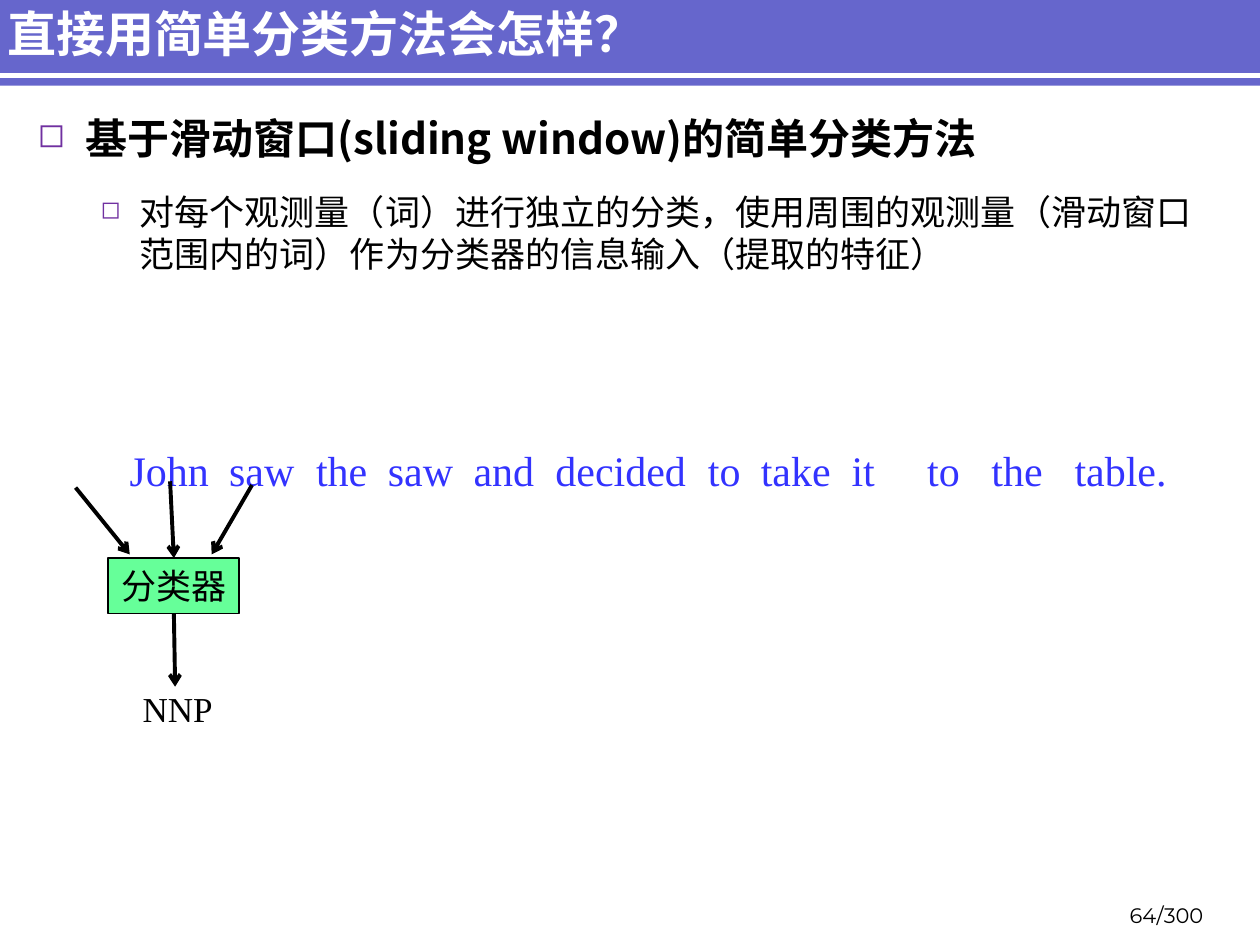
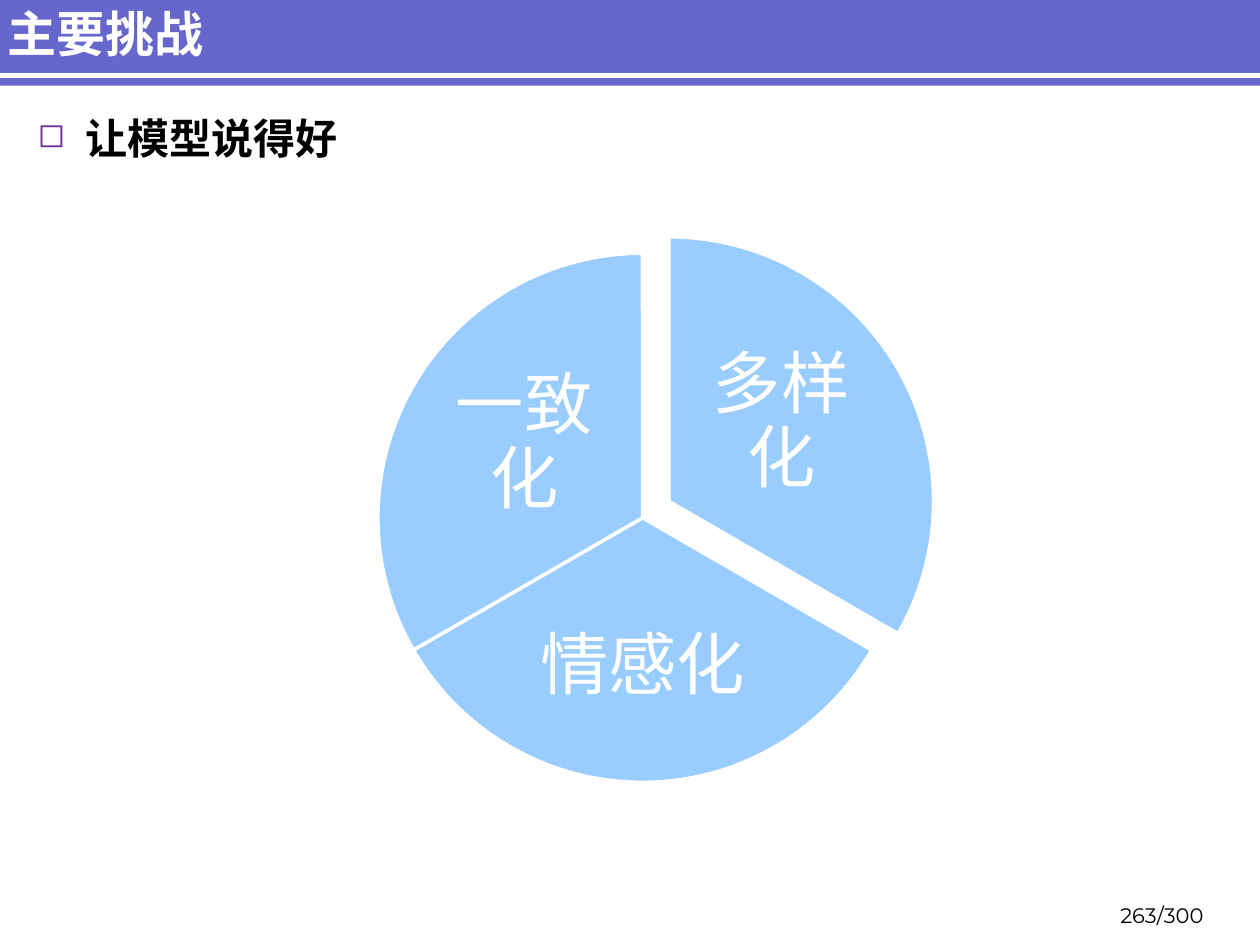
from dataclasses import dataclass

from lxml import etree
from pptx import Presentation
from pptx.dml.color import RGBColor
from pptx.enum.shapes import MSO_CONNECTOR, MSO_SHAPE
from pptx.enum.text import MSO_ANCHOR, PP_ALIGN
from pptx.oxml.ns import qn
from pptx.util import Inches, Pt

LEFT, CENTER, RIGHT = PP_ALIGN.LEFT, PP_ALIGN.CENTER, PP_ALIGN.RIGHT
TOP, MIDDLE, BOTTOM = MSO_ANCHOR.TOP, MSO_ANCHOR.MIDDLE, MSO_ANCHOR.BOTTOM
RECTANGLE, PIE = MSO_SHAPE.RECTANGLE, MSO_SHAPE.PIE
STRAIGHT = MSO_CONNECTOR.STRAIGHT
SIDE_TOP, SIDE_BOTTOM = 0, 2


@dataclass(frozen=True)
class Theme:
    band: str = "6666CC"
    white: str = "FFFFFF"
    black: str = "000000"
    bullet: str = "7030A0"
    sentence: str = "3333FF"
    classifier: str = "66FF99"
    wedge: str = "99CCFF"
    cjk_font: str = "Noto Sans CJK SC"
    serif_font: str = "Times New Roman"
    wedge_font: str = "Arial"
    number_font: str = "Montserrat"
    title_size: int = 28
    head_size: int = 24
    text_size: int = 20
    wedge_size: int = 39
    number_size: int = 12


@dataclass(frozen=True)
class Level:
    """Look of one outline level; lengths in inches, spacing in points."""
    size: int
    bold: bool
    margin: float
    hanging: float
    before: int
    after: int
    bullet_percent: int


THEME = Theme()
LEVELS = [
    Level(THEME.head_size, True, 0.38, 0.38, 0, 12, 80),
    Level(THEME.text_size, False, 0.81, 0.31, 4, 6, 70),
]


def add_element(parent, tag, **attributes):
    element = etree.SubElement(parent, qn(tag))
    for name, value in attributes.items():
        element.set(name, str(value))
    return element


class DeckBuilder:
    def __init__(self, theme):
        self.theme = theme
        self.deck = Presentation()
        self.deck.slide_width = Inches(10)
        self.deck.slide_height = Inches(7.5)
        self.page = None

    def new_page(self, title, number):
        """Start a page with its band, title and page number."""
        theme = self.theme
        self.page = self.deck.slides.add_slide(self.deck.slide_layouts[6])
        self.shape(RECTANGLE, 0, 0, 10, 0.68, theme.band)
        self.line((0, 0.6), (10, 0.6), theme.white, 3)
        self.text(title, -0.04, 0.05, 8.77, 0.43, theme.cjk_font,
                  theme.title_size, theme.white, bold=True, anchor=MIDDLE)
        self.text(f"{number}/300", 8.61, 7.06, 1.04, 0.35, theme.number_font,
                  theme.number_size, theme.black, align=RIGHT, anchor=BOTTOM)

    def style(self, paragraph, font, size, color, bold=False):
        for span in paragraph.runs:
            span.font.name = font
            span.font.size = Pt(size)
            span.font.bold = bold
            span.font.color.rgb = RGBColor.from_string(color)
            add_element(span._r.get_or_add_rPr(), "a:ea", typeface=font)

    def fill_text(self, box, text, font, size, color, bold=False,
                  align=LEFT, anchor=TOP, wrap=True):
        frame = box.text_frame
        frame.text = text
        frame.word_wrap = wrap
        frame.vertical_anchor = anchor
        paragraph = frame.paragraphs[0]
        paragraph.alignment = align
        self.style(paragraph, font, size, color, bold)
        return paragraph

    def text(self, text, left, top, width, height, *look, **layout):
        box = self.page.shapes.add_textbox(
            Inches(left), Inches(top), Inches(width), Inches(height))
        self.fill_text(box, text, *look, **layout)
        return box

    def shape(self, kind, left, top, width, height, fill, line=None, weight=1):
        shape = self.page.shapes.add_shape(
            kind, Inches(left), Inches(top), Inches(width), Inches(height))
        shape.shadow.inherit = False
        shape.fill.solid()
        shape.fill.fore_color.rgb = RGBColor.from_string(fill)
        if line:
            shape.line.color.rgb = RGBColor.from_string(line)
            shape.line.width = Pt(weight)
        else:
            shape.line.fill.background()
        return shape

    def line(self, start, end, color, weight):
        line = self.page.shapes.add_connector(
            STRAIGHT, *(Inches(value) for value in (*start, *end)))
        line.line.color.rgb = RGBColor.from_string(color)
        line.line.width = Pt(weight)
        add_element(line._element.spPr, "a:effectLst")
        return line

    def arrow(self, start, end):
        arrow = self.line(start, end, self.theme.black, 2.25)
        add_element(arrow.line._get_or_add_ln(), "a:tailEnd", type="arrow")
        return arrow

    def outline(self, *items):
        """Add the bulleted body from (level, text) pairs."""
        box = self.page.shapes.add_textbox(
            Inches(0.2), Inches(0.84), Inches(9.45), Inches(6.14))
        frame = box.text_frame
        frame.word_wrap = True
        for index, (depth, text) in enumerate(items):
            level = LEVELS[depth]
            paragraph = frame.add_paragraph() if index else frame.paragraphs[0]
            paragraph.text = text
            paragraph.level = depth
            properties = paragraph._p.get_or_add_pPr()
            properties.set("marL", str(Inches(level.margin)))
            properties.set("indent", str(-Inches(level.hanging)))
            color = add_element(properties, "a:buClr")
            add_element(color, "a:srgbClr", val=self.theme.bullet)
            add_element(properties, "a:buSzPct", val=level.bullet_percent * 1000)
            add_element(properties, "a:buChar", char="◻")
            paragraph.line_spacing = Pt(level.size * 1.2)
            paragraph.space_before = Pt(level.before)
            paragraph.space_after = Pt(level.after)
            self.style(paragraph, self.theme.cjk_font, level.size,
                       self.theme.black, level.bold)

    def tabbed_words(self, words, stops, left, top, width, height, *look):
        box = self.text("\t".join(words), left, top, width, height, *look)
        properties = box.text_frame.paragraphs[0]._p.get_or_add_pPr()
        tabs = add_element(properties, "a:tabLst")
        for stop in stops:
            add_element(tabs, "a:tab", pos=Inches(stop), algn="l")

    def wedge(self, center, diameter, start, end):
        left, top = (value - diameter / 2 for value in center)
        wedge = self.shape(PIE, left, top, diameter, diameter,
                           self.theme.wedge, self.theme.white, 2)
        # Angles are stored in 60000ths of a degree, scaled by 100000
        wedge.adjustments[0] = start * 0.6
        wedge.adjustments[1] = end * 0.6

    def wedge_label(self, text, left, top, width, height):
        box = self.text(text, left, top, width, height, self.theme.wedge_font,
                        self.theme.wedge_size, self.theme.white,
                        align=CENTER, anchor=MIDDLE)
        frame = box.text_frame
        frame.margin_left = frame.margin_right = Inches(0.05)
        frame.paragraphs[0].line_spacing = 0.9


def sliding_window_page(builder):
    theme = builder.theme
    builder.new_page("直接用简单分类方法会怎样？", 64)
    builder.outline(
        (0, "基于滑动窗口(sliding window)的简单分类方法"),
        (1, "对每个观测量（词）进行独立的分类，使用周围的观测量"
            "（滑动窗口范围内的词）作为分类器的信息输入（提取的特征）"))

    # Sentence to be tagged
    words = "John saw the saw and decided to take it to the table.".split()
    stops = [0.79, 1.48, 2.05, 2.73, 3.38, 4.59, 5.01, 5.73, 6.33, 6.84, 7.5]
    builder.tabbed_words(words, stops, 0.93, 3.48, 8.51, 0.51,
                         theme.serif_font, theme.head_size, theme.sentence)

    # Classifier with its window inputs and output tag
    classifier = builder.shape(RECTANGLE, 0.86, 4.43, 1.04, 0.44,
                               theme.classifier, theme.black)
    builder.fill_text(classifier, "分类器", theme.cjk_font, theme.text_size,
                      theme.black, align=CENTER, anchor=MIDDLE, wrap=False)
    builder.arrow((0.6, 3.87), (1.03, 4.4))
    builder.arrow((2, 3.85), (1.68, 4.4))
    builder.arrow((1.35, 3.82), (1.38, 4.43)).end_connect(classifier, SIDE_TOP)
    builder.arrow((1.38, 4.87), (1.39, 5.45)).begin_connect(classifier, SIDE_BOTTOM)
    builder.text("NNP", 1.03, 5.41, 0.76, 0.43, theme.serif_font,
                 theme.text_size, theme.black, align=CENTER, wrap=False)


def challenges_page(builder):
    builder.new_page("主要挑战", 263)
    builder.outline((0, "让模型说得好"))

    # Three equal wedges, the first one pulled out
    center, pulled_center = (5.1, 4.11), (5.31, 3.98)
    labels = [
        ("多样化", 5.49, 2.66, 1.42, 1.4),
        ("情感化", 4.15, 4.65, 1.9, 1.3),
        ("一致化", 3.45, 2.83, 1.42, 1.4),
    ]
    sweep = 360 / len(labels)
    for index, label in enumerate(labels):
        start = (270 + index * sweep) % 360
        builder.wedge(center if index else pulled_center, 4.2,
                      start, (start + sweep) % 360)
        builder.wedge_label(*label)


def main():
    builder = DeckBuilder(THEME)
    sliding_window_page(builder)
    challenges_page(builder)
    builder.deck.save("out.pptx")


if __name__ == "__main__":
    main()
